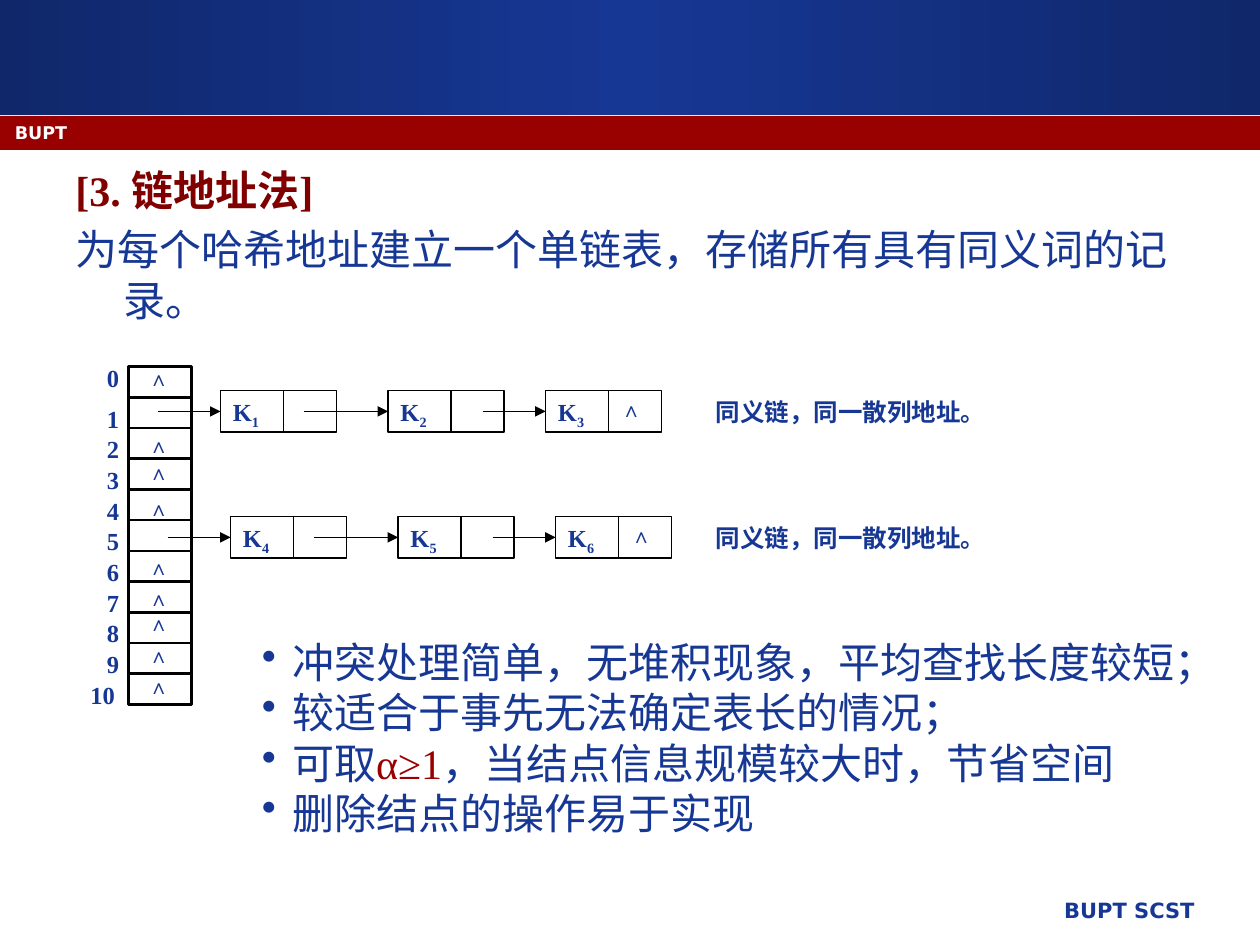
from lxml import etree
from pptx import Presentation
from pptx.dml.color import RGBColor
from pptx.enum.shapes import MSO_CONNECTOR, MSO_SHAPE
from pptx.enum.text import PP_ALIGN
from pptx.oxml.ns import qn
from pptx.util import Inches, Pt

RECTANGLE = MSO_SHAPE.RECTANGLE
STRAIGHT = MSO_CONNECTOR.STRAIGHT
RIGHT = PP_ALIGN.RIGHT
LEFT_SIDE = 1

THEME = {
    "blue": "163794", "dark_blue": "10276A", "red": "990000", "maroon": "800000",
    "white": "FFFFFF", "black": "000000",
    "serif": "Times New Roman", "sans": "DejaVu Sans",
    "body": 24, "label": 14, "null": 12, "footer": 12, "band": 10,
    "thick": 1.5, "thin": 0.75,
}
BODY = {"size": THEME["body"], "name": THEME["serif"], "color": THEME["blue"], "bold": False}
HEADING = {**BODY, "color": THEME["maroon"], "bold": True}
ACCENT = {**BODY, "color": THEME["red"]}
LABEL = {**BODY, "size": THEME["label"], "bold": True}
SUBSCRIPT = {**LABEL, "baseline": -25}
NULL = {**LABEL, "size": THEME["null"]}
FOOTER = {**NULL, "size": THEME["footer"], "name": THEME["sans"]}
BAND = {**FOOTER, "size": THEME["band"], "color": THEME["white"]}

# Content: a paragraph is a list of (text, format) runs
INTRO = [
    [("[3. 链地址法]", HEADING)],
    [("为每个哈希地址建立一个单链表，存储所有具有同义词的记录。", BODY)],
]
BULLETS = [
    [("冲突处理简单，无堆积现象，平均查找长度较短；", BODY)],
    [("较适合于事先无法确定表长的情况；", BODY)],
    [("可取", BODY), ("α≥1", ACCENT), ("，当结点信息规模较大时，节省空间", BODY)],
    [("删除结点的操作易于实现", BODY)],
]
NULL_MARK = "∧"
CHAIN_NOTE = "同义链，同一散列地址。"
CHAINS = [  # left, top, node numbers
    (1.75, 3.1, (1, 2, 3)),
    (1.83, 4.1, (4, 5, 6)),
]
NULL_TOPS = (2.85, 3.38, 3.6, 3.88, 4.35, 4.6, 4.8, 5.05, 5.3)

# Layout in inches
WIDTH, HEIGHT = 10, 7.5
TABLE_LEFT, TABLE_TOP, TABLE_WIDTH, TABLE_HEIGHT = 1.02, 2.91, 0.5, 2.68
ROW_COUNT = 11
ROW_HEIGHT = TABLE_HEIGHT / ROW_COUNT
NODE_WIDTH, NODE_HEIGHT, KEY_WIDTH = 0.92, 0.33, 0.5
NODE_OFFSETS = (0, 1.33, 2.58)
ARROW_LENGTHS = (0.5, 0.67, 0.5)
NULL_SIZE = (0.33, 0.3)
NOTE_LEFT = 5.58

presentation = Presentation()
presentation.slide_width, presentation.slide_height = Inches(WIDTH), Inches(HEIGHT)
slide = presentation.slides.add_slide(presentation.slide_layouts[6])


def rgb(value):
    return RGBColor.from_string(value)


def add_rectangle(left, top, width, height, fill, line_width=None):
    shape = slide.shapes.add_shape(RECTANGLE, *map(Inches, (left, top, width, height)))
    shape.shadow.inherit = False
    shape.fill.solid()
    shape.fill.fore_color.rgb = rgb(fill)
    if line_width:
        shape.line.color.rgb = rgb(THEME["black"])
        shape.line.width = Pt(line_width)
    else:
        shape.line.fill.background()
    return shape


def add_line(start, end, line_width, target=None):
    """Draw a line; with a target it becomes an arrow joined to its left side."""
    connector = slide.shapes.add_connector(STRAIGHT, *map(Inches, (*start, *end)))
    connector.line.color.rgb = rgb(THEME["black"])
    connector.line.width = Pt(line_width)
    properties = connector._element.spPr
    if target is not None:
        connector.end_connect(target, LEFT_SIDE)
        etree.SubElement(connector.line._get_or_add_ln(), qn("a:tailEnd"), type="triangle")
    etree.SubElement(properties, qn("a:effectLst"))


def add_text(left, top, width, height, paragraphs, margin=0, indent=0,
             bullet=None, space=0, align=None):
    box = slide.shapes.add_textbox(*map(Inches, (left, top, width, height)))
    frame = box.text_frame
    frame.word_wrap = True
    for index, runs in enumerate(paragraphs):
        paragraph = frame.paragraphs[0] if index == 0 else frame.add_paragraph()
        properties = paragraph._p.get_or_add_pPr()
        if margin:
            properties.set("marL", str(Inches(margin)))
            properties.set("indent", str(Inches(indent)))
        if index and space:
            paragraph.space_before = Pt(space)
        if bullet:
            etree.SubElement(properties, qn("a:buChar"), char=bullet)
        if align is not None:
            paragraph.alignment = align
        for text, style in runs:
            run = paragraph.add_run()
            run.text = text
            for key, value in style.items():
                if key == "color":
                    run.font.color.rgb = rgb(value)
                elif key == "baseline":
                    run._r.get_or_add_rPr().set("baseline", str(value * 1000))
                else:
                    setattr(run.font, key, Pt(value) if key == "size" else value)


def add_header_and_footer():
    header = add_rectangle(0, 0, WIDTH, 0.91, THEME["blue"])
    header.fill.gradient()
    header.fill.gradient_angle = 0
    stop_list = header.fill._fill._gradFill.gsLst
    for stop in list(stop_list):
        stop_list.remove(stop)
    for position, color in ((0, "dark_blue"), (50, "blue"), (100, "dark_blue")):
        stop = etree.SubElement(stop_list, qn("a:gs"), pos=str(position * 1000))
        etree.SubElement(stop, qn("a:srgbClr"), val=THEME[color])
    add_rectangle(0, 0.92, WIDTH, 0.27, THEME["red"])
    add_text(4.21, 7.07, 5.37, 0.35, [[("BUPT SCST", FOOTER)]], align=RIGHT)
    add_text(0.02, 0.92, 9.25, 0.25, [[("BUPT", BAND)]])


def add_hash_table():
    add_rectangle(TABLE_LEFT, TABLE_TOP, TABLE_WIDTH, TABLE_HEIGHT,
                  THEME["white"], THEME["thick"])
    for row in range(ROW_COUNT):
        top = TABLE_TOP + row * ROW_HEIGHT
        if row:
            add_line((TABLE_LEFT, top), (TABLE_LEFT + TABLE_WIDTH, top), THEME["thick"])
        label_top = top if row else top - 0.08
        left, width = (0.75, 0.2) if row < 10 else (0.62, 0.63)
        add_text(left, label_top, width, 0.33, [[(str(row), LABEL)]])
    for top in NULL_TOPS:
        add_text(1.08, top, *NULL_SIZE, [[(NULL_MARK, NULL)]])


def add_chain(chain_left, top, numbers):
    middle = top + NODE_HEIGHT / 2
    for number, offset, length in zip(numbers, NODE_OFFSETS, ARROW_LENGTHS):
        left = chain_left + offset
        divider = left + KEY_WIDTH
        node = add_rectangle(left, top, NODE_WIDTH, NODE_HEIGHT,
                             THEME["white"], THEME["thin"])
        add_line((divider, top), (divider, top + NODE_HEIGHT), THEME["thin"])
        add_text(left, top, KEY_WIDTH, NODE_HEIGHT,
                 [[("K", LABEL), (str(number), SUBSCRIPT)]])
        add_line((left - length, middle), (left, middle), THEME["thin"], node)
    add_text(divider, top, *NULL_SIZE, [[(NULL_MARK, NULL)]])
    add_text(NOTE_LEFT, top, 2.58, 0.33, [[(CHAIN_NOTE, LABEL)]])


add_header_and_footer()
add_text(0.5, 1.26, 9, 5.74, INTRO, margin=0.38, indent=-0.38, space=4.8)
add_hash_table()
for chain in CHAINS:
    add_chain(*chain)
add_text(1.72, 5, 8.23, 1.72, BULLETS, margin=0.5, indent=-0.24, bullet="•")

presentation.save("out.pptx")
